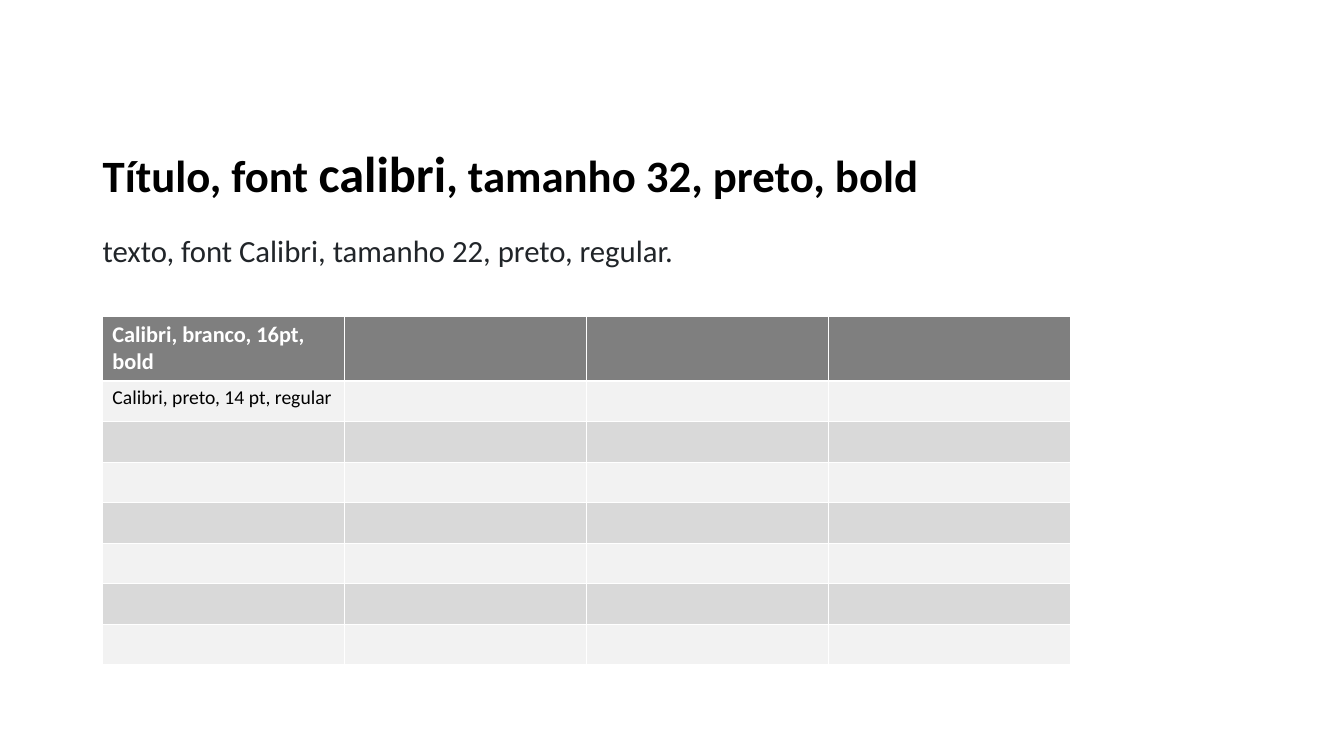
from dataclasses import dataclass

from lxml import etree
from pptx import Presentation
from pptx.dml.color import RGBColor
from pptx.enum.text import MSO_ANCHOR
from pptx.oxml.ns import qn
from pptx.util import Cm, Pt

TOP = MSO_ANCHOR.TOP
BOTTOM = MSO_ANCHOR.BOTTOM


@dataclass(frozen=True)
class Theme:
    font: str = "Calibri"
    black: str = "000000"
    white: str = "FFFFFF"
    ink: str = "212529"
    head: str = "7F7F7F"
    light: str = "F2F2F2"
    dark: str = "D9D9D9"
    title: int = 32
    accent: int = 36
    body: int = 22
    label: int = 16
    cell: int = 14
    thin: float = 0.45
    thick: float = 1.47


class Page:
    def __init__(self, slide, theme):
        self.slide = slide
        self.theme = theme

    def style(self, para, size, color, bold=False):
        font = para.font
        font.name = self.theme.font
        font.size = Pt(size)
        font.bold = bold
        font.color.rgb = RGBColor.from_string(color)

    def text(self, box, parts, size, color, bold=False, anchor=TOP):
        """Each part is a pair: words, and own size or None."""
        frame = self.slide.shapes.add_textbox(*map(Cm, box)).text_frame
        frame.word_wrap = True
        frame.vertical_anchor = anchor
        para = frame.paragraphs[0]
        para.line_spacing = 0.9
        self.style(para, size, color, bold)
        for words, own in parts:
            run = para.add_run()
            run.text = words
            if own:
                run.font.size = Pt(own)

    def border(self, cell, widths):
        props = cell._tc.get_or_add_tcPr()
        for spot, (side, width) in enumerate(zip("LRTB", widths)):
            line = etree.Element(qn(f"a:ln{side}"), w=str(Pt(width)))
            fill = etree.SubElement(line, qn("a:solidFill"))
            etree.SubElement(fill, qn("a:srgbClr"), val=self.theme.white)
            props.insert(spot, line)

    def table(self, left, top, wide, heights, words, cols):
        look = self.theme
        grid = self.slide.shapes.add_table(
            len(heights), cols, Cm(left), Cm(top),
            Cm(wide * cols), Cm(sum(heights))).table
        for col in grid.columns:
            col.width = Cm(wide)
        for r, height in enumerate(heights):
            grid.rows[r].height = Cm(height)
            if r == 0:
                fill, size, color = look.head, look.label, look.white
            else:
                fill = look.light if r % 2 else look.dark
                size, color = look.cell, look.black
            above = look.thick if r == 1 else look.thin
            below = look.thick if r == 0 else look.thin
            for c in range(cols):
                cell = grid.cell(r, c)
                cell.text = words.get((r, c), "")
                self.style(cell.text_frame.paragraphs[0], size, color, r == 0)
                cell.fill.solid()
                cell.fill.fore_color.rgb = RGBColor.from_string(fill)
                self.border(cell, (look.thin, look.thin, above, below))


def main():
    deck = Presentation()
    deck.slide_width, deck.slide_height = Cm(33.88), Cm(19.05)
    look = Theme()
    page = Page(deck.slides.add_slide(deck.slide_layouts[6]), look)

    # Title and text
    page.text((2.34, 3.56, 27.66, 1.7),
              [("Título, font ", None), ("calibri", look.accent),
               (", tamanho 32, preto, bold", None)],
              look.title, look.black, True, BOTTOM)
    page.text((2.34, 5.82, 21.87, 1.12),
              [("texto, font Calibri, tamanho 22, preto, regular.", None)],
              look.body, look.ink)

    # Sample table
    page.table(2.58, 7.96, 6.1, [1.64] + [1.02] * 7,
               {(0, 0): "Calibri, branco, 16pt, bold",
                (1, 0): "Calibri, preto, 14 pt, regular"}, 4)

    deck.save("out.pptx")


if __name__ == "__main__":
    main()
